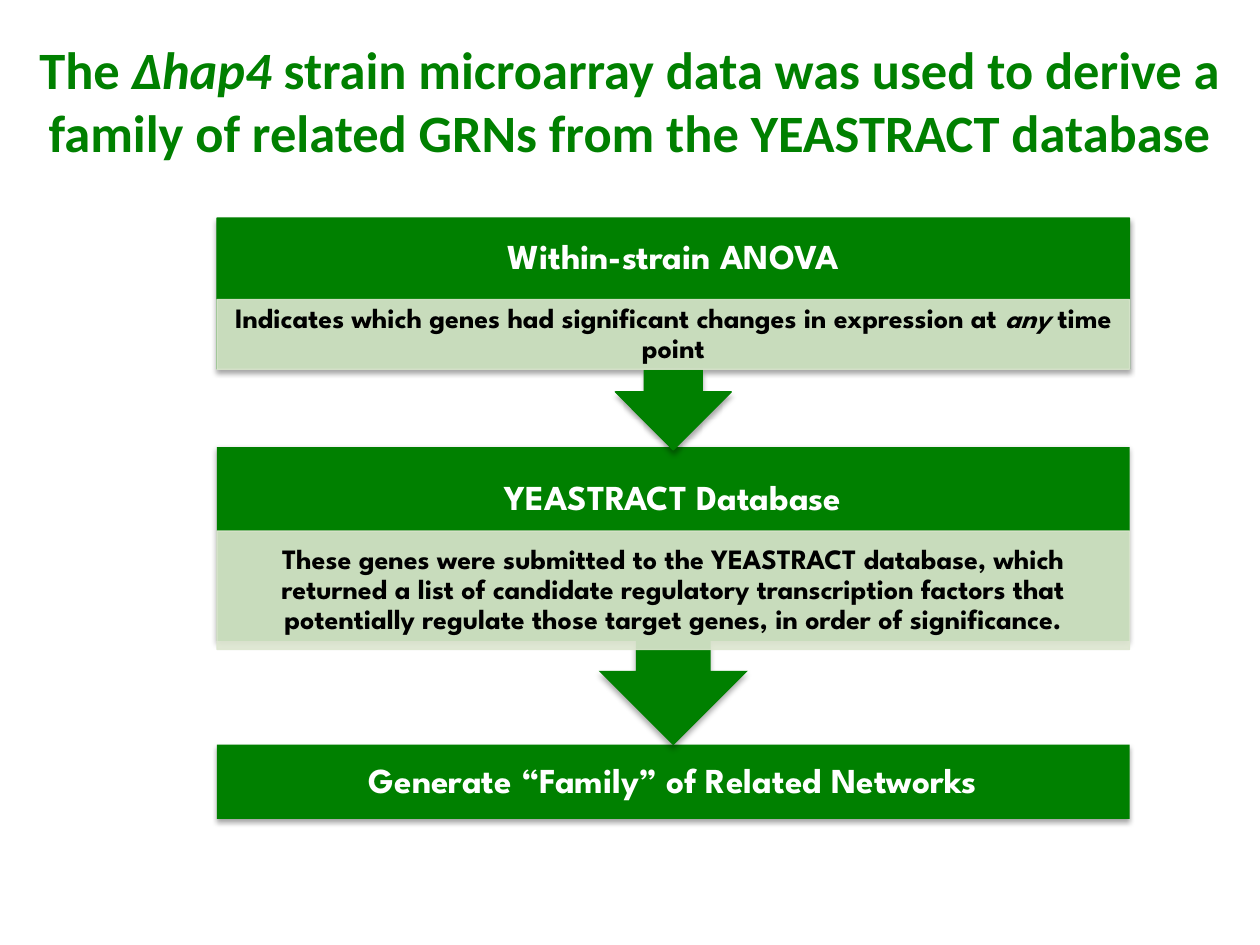
from lxml import etree
from pptx import Presentation
from pptx.dml.color import RGBColor
from pptx.enum import shapes, text
from pptx.oxml import ns
from pptx.util import Pt

COLORS = {"green": "008000", "pale": "DEE7D1", "white": "FFFFFF",
          "black": "000000"}
LEFT, WIDTH = 124, 521.5
HEADING_INSETS = (11.2, 11.2)
PANEL_INSETS = (8.96, 1.28)


def color(name):
    return RGBColor.from_string(COLORS[name])


def add_alpha(parent, percent):
    etree.SubElement(parent, ns.qn("a:alpha"), val=str(percent * 1000))


def write(paragraph, runs, size, font, color_name):
    for words, italic in runs:
        run = paragraph.add_run()
        run.text = words
        if italic:
            run.font.italic = True
    paragraph.alignment = text.PP_ALIGN.CENTER
    paragraph.font.size = Pt(size)
    paragraph.font.name = font
    paragraph.font.bold = True
    paragraph.font.color.rgb = color(color_name)


def fill_box(shape, runs, size, color_name, insets):
    frame = shape.text_frame
    frame.word_wrap = True
    frame.vertical_anchor = text.MSO_ANCHOR.MIDDLE
    frame.margin_left = frame.margin_right = Pt(insets[0])
    frame.margin_top = frame.margin_bottom = Pt(insets[1])
    paragraph = frame.paragraphs[0]
    write(paragraph, runs, size, "League Spartan", color_name)
    paragraph.line_spacing = 0.9


def add_block(slide, kind, top, height, outlined=False):
    shape = slide.shapes.add_shape(kind, Pt(LEFT), Pt(top), Pt(WIDTH), Pt(height))
    shape.fill.solid()
    shape.fill.fore_color.rgb = color("green")
    if outlined:
        shape.line.color.rgb = color("green")
        shape.line.width = Pt(0.75)
    else:
        shape.line.fill.background()
    shape.shadow.inherit = False
    effects = shape._element.spPr.find(ns.qn("a:effectLst"))
    shadow = etree.SubElement(effects, ns.qn("a:outerShdw"), blurRad=str(Pt(3.1)),
                              dist=str(Pt(1.8)), dir="5400000", rotWithShape="0")
    shade = etree.SubElement(shadow, ns.qn("a:srgbClr"), val=COLORS["black"])
    add_alpha(shade, 35)
    return shape


def add_panel(slide, top, height, runs):
    panel = slide.shapes.add_shape(shapes.MSO_SHAPE.RECTANGLE, Pt(LEFT), Pt(top),
                                   Pt(WIDTH), Pt(height))
    panel.shadow.inherit = False
    panel.fill.solid()
    panel.fill.fore_color.rgb = color("pale")
    panel.line.color.rgb = color("pale")
    panel.line.width = Pt(0.75)
    for shade in panel._element.spPr.iter(ns.qn("a:srgbClr")):
        add_alpha(shade, 90)
    fill_box(panel, runs, 16, "black", PANEL_INSETS)


def add_stage(slide, top, height, heading, heading_height, panel_offset,
              panel_height, runs, outlined=False):
    add_block(slide, shapes.MSO_SHAPE.DOWN_ARROW_CALLOUT, top, height, outlined)
    label = slide.shapes.add_textbox(Pt(LEFT), Pt(top), Pt(WIDTH), Pt(heading_height))
    fill_box(label, [(heading, False)], 20, "white", HEADING_INSETS)
    add_panel(slide, top + panel_offset, panel_height, runs)


def add_result(slide, top, height, heading):
    block = add_block(slide, shapes.MSO_SHAPE.RECTANGLE, top, height)
    fill_box(block, [(heading, False)], 20, "white", HEADING_INSETS)


def add_title(slide, left, top, width, height):
    title = slide.shapes.title
    title.left, title.top = Pt(left), Pt(top)
    title.width, title.height = Pt(width), Pt(height)
    title.text_frame.vertical_anchor = text.MSO_ANCHOR.MIDDLE
    runs = [("The ", False), ("Δhap4", True),
            (" strain microarray data was used to derive a family of related "
             "GRNs from the YEASTRACT database", False)]
    write(title.text_frame.paragraphs[0], runs, 30, "Calibri", "green")


def main():
    presentation = Presentation()
    presentation.slide_width, presentation.slide_height = Pt(720), Pt(540)
    slide = presentation.slides.add_slide(presentation.slide_layouts[5])
    add_title(slide, 0, 12, 720, 90)
    add_result(slide, 425.5, 42.5, "Generate “Family” of Related Networks")
    add_stage(slide, 255.5, 170.5, "YEASTRACT Database", 60, 48, 67.7, [
        ("These genes were submitted to the YEASTRACT database, which returned "
         "a list of candidate regulatory transcription factors that potentially "
         "regulate those target genes, in order of significance.", False)])
    add_stage(slide, 124.6, 132.5, "Within-strain ANOVA", 46, 46.6, 39.8, [
        ("Indicates which genes had significant changes in expression at ", False),
        ("any", True), (" time point", False)], outlined=True)
    presentation.save("out.pptx")


if __name__ == "__main__":
    main()
